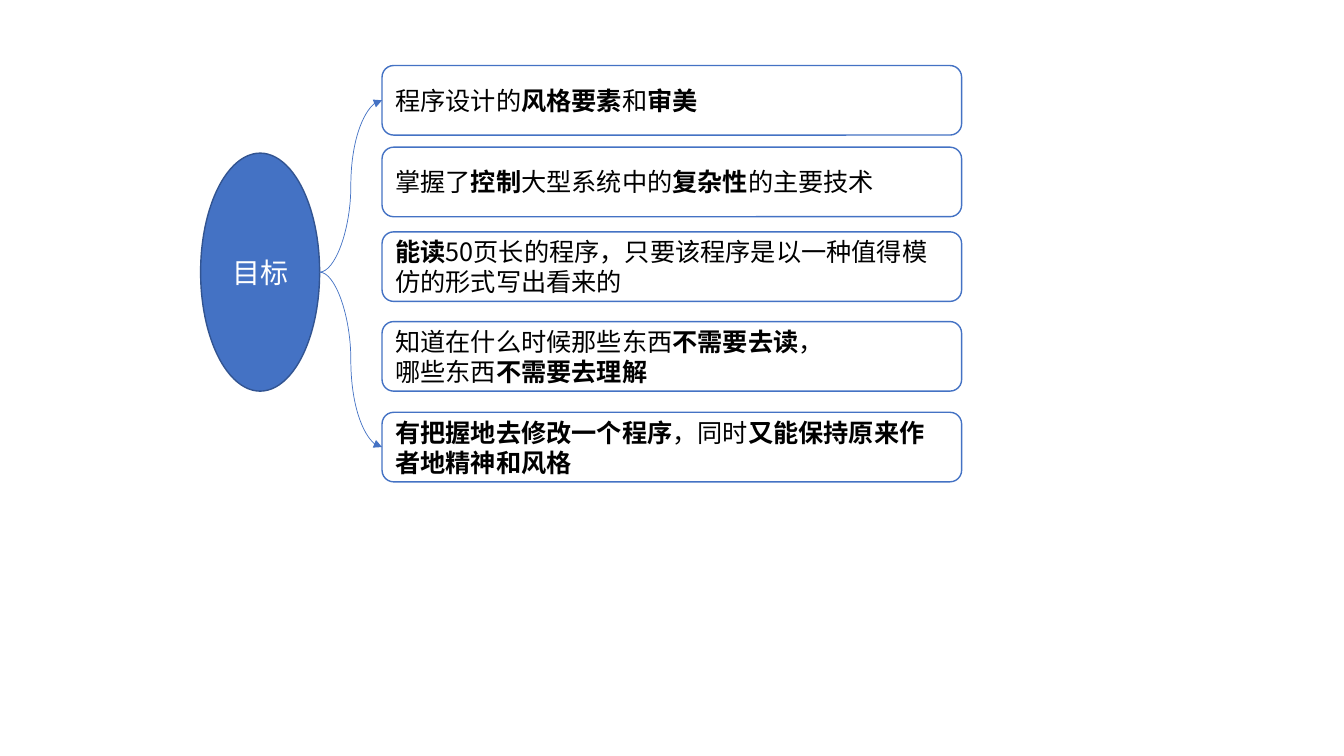
from dataclasses import dataclass

from lxml import etree
from pptx import Presentation
from pptx import util as u
from pptx.dml.color import RGBColor
from pptx.enum import shapes, text
from pptx.oxml.ns import qn

FONT = "Noto Sans CJK SC"
BLUE, DARK_BLUE, WHITE, BLACK = "4472C4", "325491", "FFFFFF", "000000"
BOX_LEFT, BOX_WIDTH, BOX_HEIGHT = 272.9, 414, 49.7


@dataclass
class Box:
    left: float
    top: float
    width: float
    height: float


@dataclass
class Goal:
    """One goal: its top edge and its lines, with bold parts between asterisks."""
    top: float
    lines: list[str]


HUB = Box(143.3, 109.4, 85, 170)
GOALS = [
    Goal(46.8, ["程序设计的*风格要素*和*审美*"]),
    Goal(105.1, ["掌握了*控制*大型系统中的*复杂性*的主要技术"]),
    Goal(165.6, ["*能读*50页长的程序，只要该程序是以一种值得模仿的形式写出看来的"]),
    Goal(229.7, ["知道在什么时候那些东西*不需要去读*，", "哪些东西*不需要去理解*"]),
    Goal(294.5, ["*有把握地去修改一个程序*，同时*又能保持原来作者地精神和风格*"]),
]


def rgb(color: str) -> RGBColor:
    return RGBColor.from_string(color)


def write_line(p, line: str, size: float, color: str, align) -> None:
    p.alignment = align
    p.font.size = u.Pt(size)
    p.font.name = FONT
    p.font.color.rgb = rgb(color)
    east_asian = etree.SubElement(p._p.pPr.find(qn("a:defRPr")), qn("a:ea"))
    east_asian.set("typeface", FONT)
    for i, part in enumerate(line.split("*")):
        if part:
            r = p.add_run()
            r.text = part
            if i % 2:
                r.font.bold = True


def add_node(slide, kind, box: Box, fill: str, outline: str, lines: list[str],
             size: float, color: str, align) -> None:
    sp = slide.shapes.add_shape(
        kind, u.Pt(box.left), u.Pt(box.top), u.Pt(box.width), u.Pt(box.height))
    sp.shadow.inherit = False
    sp.fill.solid()
    sp.fill.fore_color.rgb = rgb(fill)
    sp.line.color.rgb = rgb(outline)
    sp.line.width = u.Pt(1)
    tf = sp.text_frame
    tf.word_wrap = True
    tf.vertical_anchor = text.MSO_ANCHOR.MIDDLE
    for i, line in enumerate(lines):
        p = tf.add_paragraph() if i else tf.paragraphs[0]
        write_line(p, line, size, color, align)


def add_curved_arrow(slide, goal: Goal) -> None:
    """Lead from the right of the hub to the left of the goal's box."""
    c = slide.shapes.add_connector(
        shapes.MSO_CONNECTOR.CURVE,
        u.Pt(HUB.left + HUB.width), u.Pt(HUB.top + HUB.height / 2),
        u.Pt(BOX_LEFT), u.Pt(goal.top + BOX_HEIGHT / 2))
    c.line.color.rgb = rgb(BLUE)
    c.line.width = u.Pt(0.5)
    etree.SubElement(c.line._get_or_add_ln(), qn("a:tailEnd")).set("type", "triangle")
    etree.SubElement(c._element.spPr, qn("a:effectLst"))


def main() -> None:
    prs = Presentation()
    prs.slide_width, prs.slide_height = u.Pt(960), u.Pt(540)
    s = prs.slides.add_slide(prs.slide_layouts[6])

    add_node(s, shapes.MSO_SHAPE.OVAL, HUB, BLUE, DARK_BLUE, ["目标"],
             20, WHITE, text.PP_ALIGN.CENTER)
    for goal in GOALS:
        add_node(s, shapes.MSO_SHAPE.ROUNDED_RECTANGLE,
                 Box(BOX_LEFT, goal.top, BOX_WIDTH, BOX_HEIGHT),
                 WHITE, BLUE, goal.lines, 18, BLACK, text.PP_ALIGN.LEFT)
    for goal in (GOALS[0], GOALS[-1]):
        add_curved_arrow(s, goal)

    prs.save("out.pptx")


if __name__ == "__main__":
    main()
